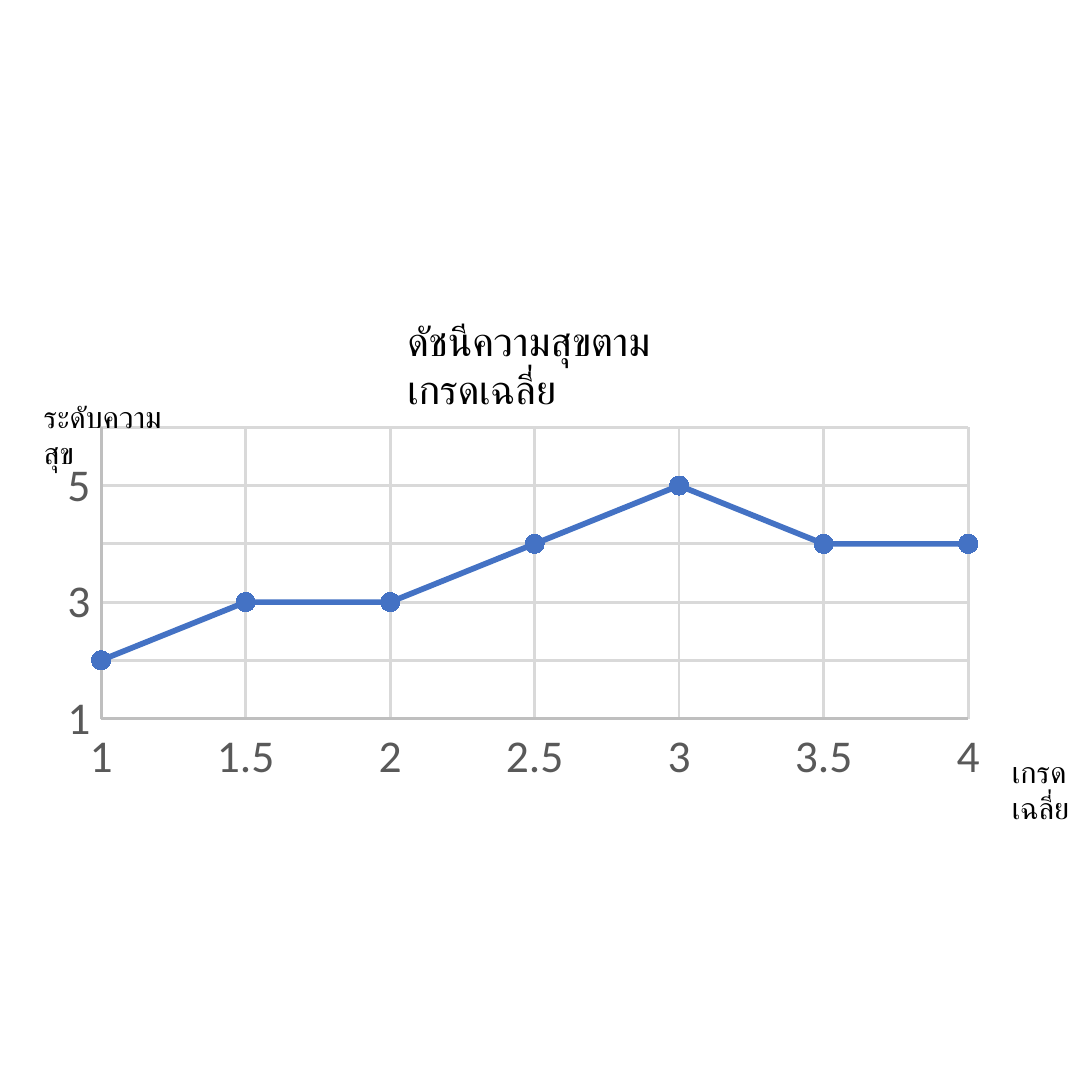
from lxml import etree
from pptx import Presentation
from pptx.chart.data import XyChartData
from pptx.dml.color import RGBColor
from pptx.enum.chart import XL_CHART_TYPE as CT, XL_MARKER_STYLE as MS, XL_TICK_MARK as TM
from pptx.enum.text import MSO_ANCHOR, MSO_AUTO_SIZE, PP_ALIGN
from pptx.oxml import parse_xml
from pptx.oxml.ns import nsdecls, qn
from pptx.util import Pt

EMU_PER_PX = 914400 / 273
FONT = "Calibri"
COLORS = {"text": "000000", "tick": "595959", "axis": "BFBFBF",
          "grid": "D9D9D9", "series": "4472C4"}
GRADES = [1, 1.5, 2, 2.5, 3, 3.5, 4]
HAPPINESS = [2, 3, 3, 4, 5, 4, 4]
GRADE_SCALE = {"minimum_scale": 1, "maximum_scale": 4, "major_unit": 0.5}
# Labels fall on every second level; minor gridlines mark the levels between.
LEVEL_SCALE = {"minimum_scale": 1, "maximum_scale": 6, "major_unit": 2,
               "minor_unit": 1, "has_minor_gridlines": True}


def emu(*lengths):
    return [round(n * EMU_PER_PX) for n in lengths]


def rgb(name):
    return RGBColor.from_string(COLORS[name])


def set_attrs(obj, values):
    for name, value in values.items():
        setattr(obj, name, value)


def set_font(font, size, color):
    set_attrs(font, {"name": FONT, "size": Pt(size), "bold": False})
    font.color.rgb = rgb(color)


def set_line(line, color, width):
    line.color.rgb = rgb(color)
    line.width = Pt(width)


def write_label(sp, box, text, size):
    set_attrs(sp, dict(zip(("left", "top", "width", "height"), emu(*box))))
    tf = sp.text_frame
    tf.text = text
    set_attrs(tf, {"word_wrap": True, "auto_size": MSO_AUTO_SIZE.SHAPE_TO_FIT_TEXT,
                   "vertical_anchor": MSO_ANCHOR.TOP})
    p = tf.paragraphs[0]
    p.alignment = PP_ALIGN.LEFT
    set_font(p.runs[0].font, size, "text")


def format_axis(axis, scale):
    set_attrs(axis, {"major_tick_mark": TM.NONE, "minor_tick_mark": TM.NONE,
                     "has_major_gridlines": True, **scale})
    set_font(axis.tick_labels.font, 12, "tick")
    set_line(axis.format.line, "axis", 0.75)
    set_line(axis.major_gridlines.format.line, "grid", 0.75)


def place_plot(chart, fractions):
    """Fix the inner plot area as x, y, w, h fractions of the chart."""
    area = chart.plots[0]._element.getparent()
    for old in area.findall(qn("c:layout")):
        area.remove(old)
    layout = parse_xml(f"<c:layout {nsdecls('c')}><c:manualLayout/></c:layout>")
    settings = {"layoutTarget": "inner", "xMode": "edge", "yMode": "edge",
                **dict(zip("xywh", fractions))}
    for tag, value in settings.items():
        etree.SubElement(layout[0], qn(f"c:{tag}")).set("val", str(value))
    area.insert(0, layout)


def add_happiness_chart(slide, box):
    data = XyChartData()
    points = data.add_series("Series 1")
    for grade, level in zip(GRADES, HAPPINESS):
        points.add_data_point(grade, level)
    chart = slide.shapes.add_chart(CT.XY_SCATTER_LINES, *emu(*box), data).chart
    set_attrs(chart, {"has_legend": False, "has_title": False})
    set_font(chart.font, 10, "text")
    chart.plots[0].vary_by_categories = False
    format_axis(chart.category_axis, GRADE_SCALE)
    level_axis = chart.value_axis
    format_axis(level_axis, LEVEL_SCALE)
    minor_grid = parse_xml(
        f"<c:spPr {nsdecls('c', 'a')}><a:ln w=\"{Pt(0.75)}\"><a:solidFill>"
        f"<a:srgbClr val=\"{COLORS['grid']}\"/></a:solidFill></a:ln></c:spPr>")
    level_axis._element.find(qn("c:minorGridlines")).append(minor_grid)

    series = chart.plots[0].series[0]
    series.smooth = False
    set_line(series.format.line, "series", 1.5)
    marker = series.marker
    set_attrs(marker, {"style": MS.CIRCLE, "size": 5})
    marker.format.fill.solid()
    marker.format.fill.fore_color.rgb = rgb("series")
    set_line(marker.format.line, "series", 0.75)
    place_plot(chart, (0.06, 0.02, 0.91, 0.79))


def add_chart_region(slide, box):
    x, y, w, h = box
    add_happiness_chart(slide, box)
    axis_labels = [("ระดับความสุข", (x - 27, y - 35, 172, 66)),
                   ("เกรดเฉลี่ย", (x + w - 12, y + h - 49, 139, 66))]
    for text, label_box in axis_labels:
        write_label(slide.shapes.add_textbox(0, 0, 0, 0), label_box, text, 8)
    write_label(slide.shapes.title, (x + 336, y - 118, 363, 76),
                "ดัชนีความสุขตามเกรดเฉลี่ย", 10.7)


def main():
    prs = Presentation()
    prs.slide_width, prs.slide_height = emu(1092, 1092)
    slide = prs.slides.add_slide(prs.slide_layouts[5])
    add_chart_region(slide, (44, 420, 953, 369))
    prs.save("out.pptx")


if __name__ == "__main__":
    main()
